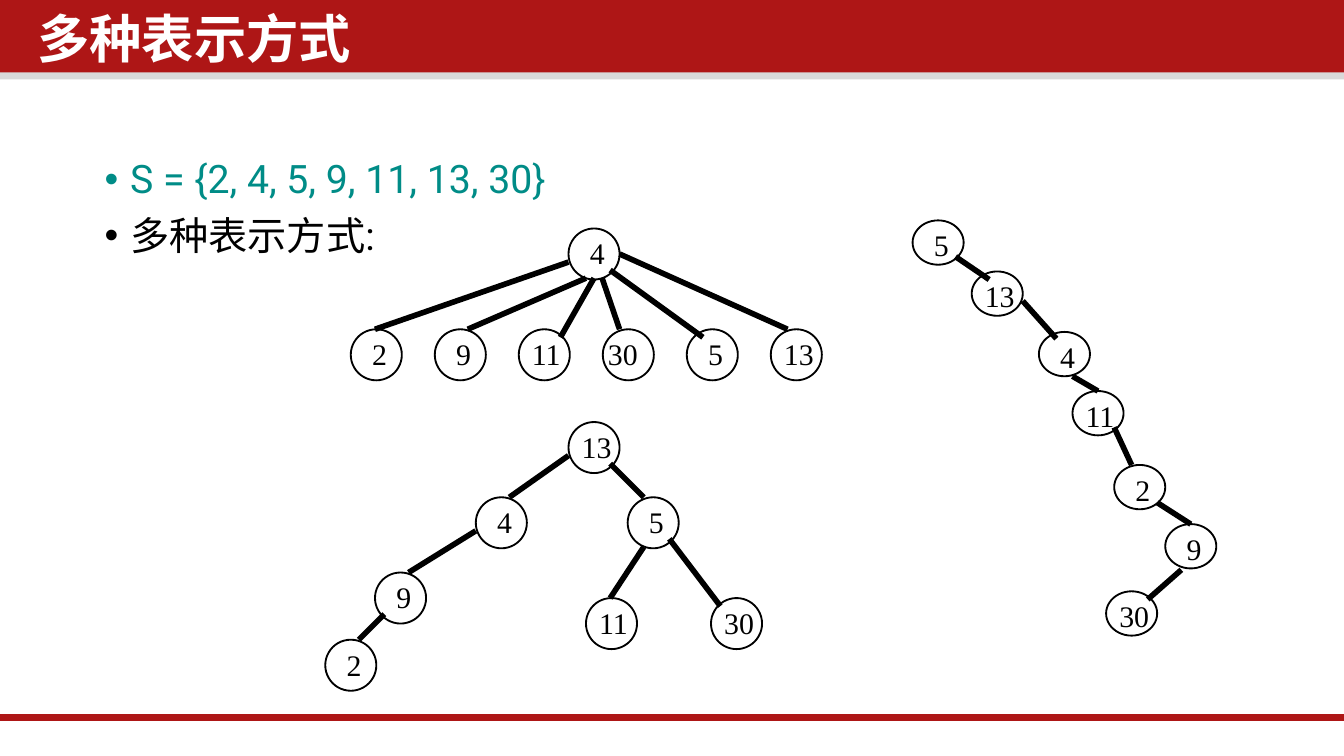
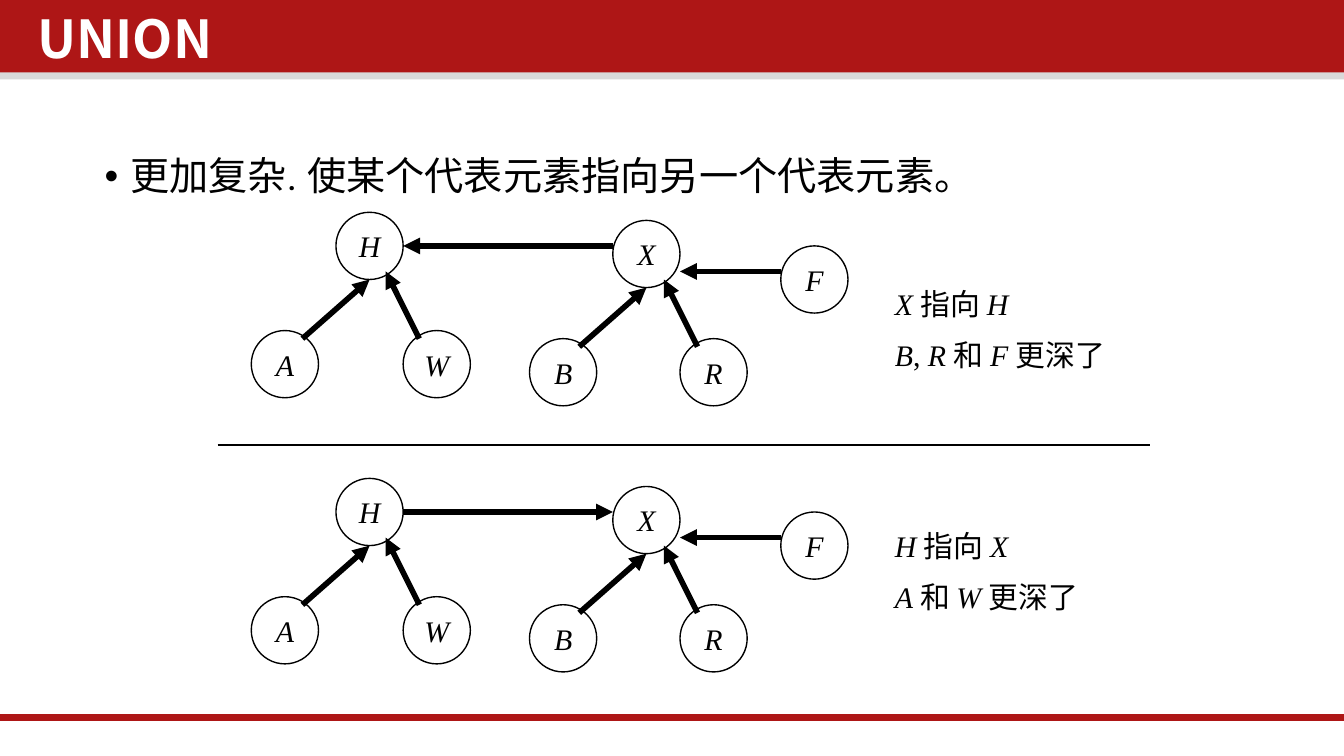
from dataclasses import dataclass

from lxml.etree import SubElement
from pptx import Presentation
from pptx.dml.color import RGBColor
from pptx.enum.shapes import MSO_CONNECTOR, MSO_SHAPE
from pptx.enum.text import MSO_ANCHOR, PP_ALIGN
from pptx.oxml.ns import qn
from pptx.util import Cm, Pt

RED = RGBColor(0xAE, 0x16, 0x16)
GRAY = RGBColor(0xD9, 0xD9, 0xD9)
TEAL = RGBColor(0x00, 0x8C, 0x87)
WHITE = RGBColor(0xFF, 0xFF, 0xFF)
BLACK = RGBColor(0x00, 0x00, 0x00)

TITLE_FONT = "Noto Sans CJK SC"
BODY_FONT = "Roboto"
DIAGRAM_FONT = "Times New Roman"

SLIDE_WIDTH = Cm(25.4)
SLIDE_HEIGHT = SLIDE_WIDTH * 9 // 16
NODE_WIDTH = 0.38
LETTER_SIZE = 0.5
EDGE_WEIGHT = 3
CLUSTER_STEP = 1.98


@dataclass(frozen=True)
class Node:
    label: str
    left: float
    top: float
    label_shift: float = 0


@dataclass(frozen=True)
class Edge:
    start_x: float
    start_y: float
    end_x: float
    end_y: float


@dataclass(frozen=True)
class Tree:
    nodes: list[Node]
    edges: list[Edge]
    node_height: float = NODE_WIDTH
    filled: bool = False


@dataclass(frozen=True)
class Phrase:
    text: str
    italic: bool = False


STAR = Tree(
    [Node("4", 4.23, 1.7)]
    + [
        Node(label, 2.61 + 0.625 * index, 2.45, -0.06 if label == "30" else 0)
        for index, label in enumerate(["2", "9", "11", "30", "5", "13"])
    ],
    [
        Edge(4.23, 1.95, 2.79, 2.45),
        Edge(4.36, 2.07, 3.48, 2.45),
        Edge(4.42, 2.07, 4.17, 2.51),
        Edge(4.48, 2.07, 4.61, 2.45),
        Edge(4.54, 2.01, 5.23, 2.51),
        Edge(4.61, 1.89, 5.86, 2.45),
    ],
)

BRANCHES = Tree(
    [
        Node("13", 4.23, 3.14),
        Node("4", 3.54, 3.7),
        Node("5", 4.67, 3.7),
        Node("9", 2.79, 4.26),
        Node("2", 2.42, 4.76),
        Node("11", 4.36, 4.45),
        Node("30", 5.29, 4.45),
    ],
    [
        Edge(4.23, 3.39, 3.79, 3.7),
        Edge(3.54, 3.95, 3.04, 4.26),
        Edge(4.54, 3.45, 4.79, 3.7),
        Edge(2.86, 4.57, 2.67, 4.76),
        Edge(4.79, 4.07, 4.54, 4.45),
        Edge(4.98, 4.01, 5.36, 4.51),
    ],
)

CHAIN = Tree(
    [
        Node("5", 6.79, 1.64),
        Node("13", 7.23, 2.02),
        Node("4", 7.73, 2.47),
        Node("11", 7.98, 2.91),
        Node("2", 8.29, 3.46),
        Node("9", 8.67, 3.9),
        Node("30", 8.23, 4.4),
    ],
    [
        Edge(7.11, 1.91, 7.36, 2.08),
        Edge(7.61, 2.24, 7.86, 2.52),
        Edge(7.98, 2.8, 8.17, 2.91),
        Edge(8.29, 3.18, 8.42, 3.46),
        Edge(8.61, 3.74, 8.86, 3.9),
        Edge(8.79, 4.24, 8.54, 4.46),
    ],
    node_height=0.33,
    filled=True,
)

CLUSTER_NODES = [
    Node("A", 1.87, 2.46),
    Node("H", 2.5, 1.58),
    Node("W", 3, 2.46),
    Node("B", 3.94, 2.52),
    Node("X", 4.56, 1.64),
    Node("R", 5.06, 2.52),
    Node("F", 5.81, 1.83),
]
CLUSTER_EDGES = [
    Edge(2.25, 2.52, 2.75, 2.08),
    Edge(3.12, 2.52, 2.87, 2.02),
    Edge(4.31, 2.58, 4.81, 2.14),
    Edge(5.19, 2.58, 4.94, 2.08),
    Edge(5.81, 2.02, 5.06, 2.02),
]
X_TO_H = Edge(4.56, 1.83, 3, 1.83)
H_TO_X = Edge(3, 1.83, 4.56, 1.83)


def inches(value: float) -> Cm:
    return Cm(value * 2.54)


def add_run(paragraph, text: str, font: str, size: float, color: RGBColor,
            bold: bool = False, italic: bool = False) -> None:
    run = paragraph.add_run()
    run.text = text
    run.font.name = font
    run.font.size = Pt(size)
    run.font.color.rgb = color
    run.font.bold = bold
    run.font.italic = italic


def add_text_frame(shapes, left: float, top: float, width: float, height: float):
    box = shapes.add_textbox(inches(left), inches(top), inches(width), inches(height))
    box.text_frame.word_wrap = True
    return box.text_frame


def next_paragraph(text_frame, index: int):
    return text_frame.add_paragraph() if index else text_frame.paragraphs[0]


def add_band(slide, top: float, height: float, color: RGBColor) -> None:
    band = slide.shapes.add_shape(
        MSO_SHAPE.RECTANGLE, 0, inches(top), SLIDE_WIDTH, inches(height))
    band.shadow.inherit = False
    band.fill.solid()
    band.fill.fore_color.rgb = color
    band.line.fill.background()


def add_line(shapes, edge: Edge, weight: float, color: RGBColor = BLACK,
             arrow: bool = False, shift: float = 0) -> None:
    connector = shapes.add_connector(
        MSO_CONNECTOR.STRAIGHT,
        inches(edge.start_x), inches(edge.start_y + shift),
        inches(edge.end_x), inches(edge.end_y + shift))
    connector.line.color.rgb = color
    connector.line.width = Pt(weight)
    properties = connector._element.spPr
    if arrow:
        SubElement(properties.get_or_add_ln(), qn("a:tailEnd"), type="triangle")
    SubElement(properties, qn("a:effectLst"))


def add_circle(shapes, left: float, top: float, width: float, height: float,
               weight: float, filled: bool = False):
    circle = shapes.add_shape(
        MSO_SHAPE.OVAL, inches(left), inches(top), inches(width), inches(height))
    circle.shadow.inherit = False
    if filled:
        circle.fill.solid()
        circle.fill.fore_color.rgb = WHITE
    else:
        circle.fill.background()
    circle.line.color.rgb = BLACK
    circle.line.width = Pt(weight)
    return circle


def add_titled_slide(presentation, title: str):
    slide = presentation.slides.add_slide(presentation.slide_layouts[6])
    add_band(slide, 0.5, 0.09, GRAY)
    add_band(slide, 0, 0.54, RED)
    add_line(slide.shapes, Edge(-0.02, 5.34, 10, 5.34), 4, RED)
    text_frame = add_text_frame(slide.shapes, 0.21, 0.06, 7.64, 0.59)
    text_frame.margin_left = text_frame.margin_right = inches(0.07)
    text_frame.margin_top = text_frame.margin_bottom = inches(0.04)
    paragraph = text_frame.paragraphs[0]
    paragraph.line_spacing = 0.9
    paragraph.space_before = Pt(7.5)
    add_run(paragraph, title, TITLE_FONT, 28, WHITE, bold=True)
    return slide


def add_bullets(slide, top: float, bullets: list[tuple[str, RGBColor]]) -> None:
    text_frame = add_text_frame(slide.shapes, 0.68, top, 8.88, 3.47)
    for index, (text, color) in enumerate(bullets):
        paragraph = next_paragraph(text_frame, index)
        paragraph.line_spacing = 0.9
        paragraph.space_before = Pt(7.5)
        properties = paragraph._p.get_or_add_pPr()
        properties.set("marL", str(inches(0.19)))
        properties.set("indent", str(-inches(0.19)))
        SubElement(properties, qn("a:buFont"), typeface="Arial")
        SubElement(properties, qn("a:buChar"), char="•")
        add_run(paragraph, text, BODY_FONT, 21, color)


def add_tree(slide, tree: Tree) -> None:
    shapes = slide.shapes.add_group_shape().shapes
    for node in tree.nodes:
        add_circle(shapes, node.left, node.top, NODE_WIDTH, tree.node_height, 1, tree.filled)
        inset, width = (0.06, 0.25) if len(node.label) == 1 else (0, 0.5)
        text_frame = add_text_frame(
            shapes, node.left + inset + node.label_shift, node.top, width, 0.37)
        add_run(text_frame.paragraphs[0], node.label, DIAGRAM_FONT, 16, BLACK)
    for edge in tree.edges:
        add_line(shapes, edge, EDGE_WEIGHT)


def add_cluster(slide, shift: float, union_edge: Edge) -> None:
    for node in CLUSTER_NODES:
        circle = add_circle(
            slide.shapes, node.left, node.top + shift, LETTER_SIZE, LETTER_SIZE, 0.75)
        text_frame = circle.text_frame
        text_frame.word_wrap = False
        text_frame.vertical_anchor = MSO_ANCHOR.MIDDLE
        paragraph = text_frame.paragraphs[0]
        paragraph.alignment = PP_ALIGN.CENTER
        add_run(paragraph, node.label, DIAGRAM_FONT, 16, BLACK, italic=True)
    for edge in CLUSTER_EDGES + [union_edge]:
        add_line(slide.shapes, edge, EDGE_WEIGHT, arrow=True, shift=shift)


def add_caption(slide, top: float, width: float, lines: list[list[Phrase]]) -> None:
    text_frame = add_text_frame(slide.shapes, 6.56, top, width, 0.77)
    for index, phrases in enumerate(lines):
        paragraph = next_paragraph(text_frame, index)
        paragraph.space_before = Pt(8)
        for phrase in phrases:
            add_run(paragraph, phrase.text, DIAGRAM_FONT, 16, BLACK, italic=phrase.italic)


def build_representations(presentation) -> None:
    slide = add_titled_slide(presentation, "多种表示方式")
    add_bullets(slide, 1.14, [
        ("S = {2, 4, 5, 9, 11, 13, 30}", TEAL),
        ("多种表示方式:", BLACK),
    ])
    for tree in (STAR, BRANCHES, CHAIN):
        add_tree(slide, tree)


def build_union(presentation) -> None:
    slide = add_titled_slide(presentation, "UNION")
    add_bullets(slide, 1.12, [("更加复杂. 使某个代表元素指向另一个代表元素。", BLACK)])
    add_cluster(slide, 0, X_TO_H)
    add_cluster(slide, CLUSTER_STEP, H_TO_X)
    add_line(slide.shapes, Edge(1.62, 3.31, 8.56, 3.31), 0.75)
    add_caption(slide, 2.08, 1.88, [
        [Phrase("X ", True), Phrase("指向 "), Phrase("H", True)],
        [Phrase("B", True), Phrase(", "), Phrase("R ", True), Phrase("和 "),
         Phrase("F ", True), Phrase("更深了")],
    ])
    add_caption(slide, 3.88, 1.75, [
        [Phrase("H ", True), Phrase("指向 "), Phrase("X", True)],
        [Phrase("A ", True), Phrase("和 "), Phrase("W ", True), Phrase("更深了")],
    ])


def main() -> None:
    presentation = Presentation()
    presentation.slide_width = SLIDE_WIDTH
    presentation.slide_height = SLIDE_HEIGHT
    build_representations(presentation)
    build_union(presentation)
    presentation.save("out.pptx")


if __name__ == "__main__":
    main()
